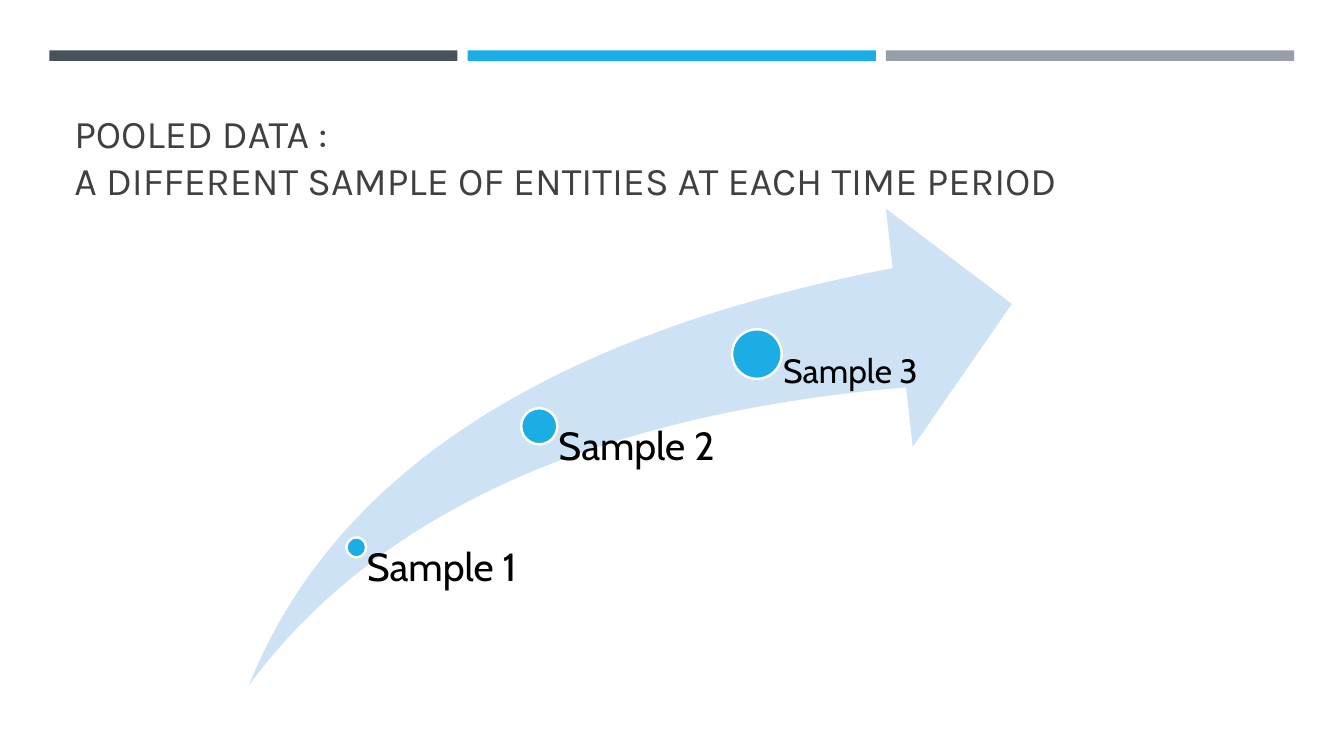
from pptx import Presentation
from pptx.dml.color import RGBColor
from pptx.enum import shapes, text
from pptx.util import Pt

# Content
TITLE = "POOLED DATA :\vA DIFFERENT SAMPLE OF ENTITIES AT EACH TIME PERIOD"
# label, dot centre x, dot centre y, dot diameter, label width, type size
SAMPLES = [
    ("Sample 1", 254.5, 391, 14.2, 126.7, "label"),
    ("Sample 2", 385.2, 304.5, 25.8, 131, "label"),
    ("Sample 3", 540.6, 252.9, 35.4, 131, "small_label"),
]
BARS = ["dark", "accent", "grey"]

THEME = {
    "colors": {
        "dark": "465359", "accent": "1CADE4", "grey": "969FA7",
        "title": "404040", "arrow": "CDE3F5", "white": "FFFFFF", "black": "000000",
    },
    "sizes": {"title": 28, "label": 28, "small_label": 24},
    "fonts": {"title": "Karla", "label": "Cabin"},
}
BAR_LEFT, BAR_TOP, BAR_WIDTH, BAR_HEIGHT, BAR_STEP = 35.2, 36, 291.6, 7.5, 298.8
ARROW = (177.8, 149, 545, 340.6)
ARROW_BOTTOM = ARROW[1] + ARROW[3]
INSET_RATIO = 0.53  # label indent relative to dot diameter

presentation = Presentation()
presentation.slide_width, presentation.slide_height = Pt(960), Pt(540)
slide = presentation.slides.add_slide(presentation.slide_layouts[6])


def color(name):
    return RGBColor.from_string(THEME["colors"][name])


def add_shape(kind, box, fill, outline=None):
    shape = slide.shapes.add_shape(kind, *map(Pt, box))
    shape.shadow.inherit = False
    shape.fill.solid()
    shape.fill.fore_color.rgb = color(fill)
    if outline:
        shape.line.color.rgb = color(outline)
        shape.line.width = Pt(1.75)
    else:
        shape.line.fill.background()
    return shape


def add_text(words, box, insets, font, size, ink, anchor, spacing):
    frame = slide.shapes.add_textbox(*map(Pt, box)).text_frame
    frame.word_wrap = True
    frame.vertical_anchor = anchor
    (frame.margin_left, frame.margin_top,
     frame.margin_right, frame.margin_bottom) = map(Pt, insets)
    paragraph = frame.paragraphs[0]
    paragraph.text = words
    paragraph.line_spacing = spacing
    paragraph.font.name = THEME["fonts"][font]
    paragraph.font.size = Pt(THEME["sizes"][size])
    paragraph.font.color.rgb = color(ink)


# Top bars
for index, fill in enumerate(BARS):
    add_shape(shapes.MSO_SHAPE.RECTANGLE,
              (BAR_LEFT + index * BAR_STEP, BAR_TOP, BAR_WIDTH, BAR_HEIGHT), fill)

# Title
add_text(TITLE, (46, 55.4, 868.3, 93.6), (7.2, 3.6, 7.2, 3.6),
         "title", "title", "title", text.MSO_ANCHOR.BOTTOM, 1.0)

# Rising arrow
arrow = add_shape(shapes.MSO_SHAPE.SWOOSH_ARROW, ARROW, "arrow")
arrow.adjustments[0] = arrow.adjustments[1] = 0.25

# Samples along the arrow: each label starts at its dot's centre
for label, x, y, diameter, width, size in SAMPLES:
    add_shape(shapes.MSO_SHAPE.OVAL,
              (x - diameter / 2, y - diameter / 2, diameter, diameter), "accent", "white")
    add_text(label, (x, y, width, ARROW_BOTTOM - y), (diameter * INSET_RATIO, 0, 0, 0),
             "label", size, "black", text.MSO_ANCHOR.TOP, 0.9)

presentation.save("out.pptx")
